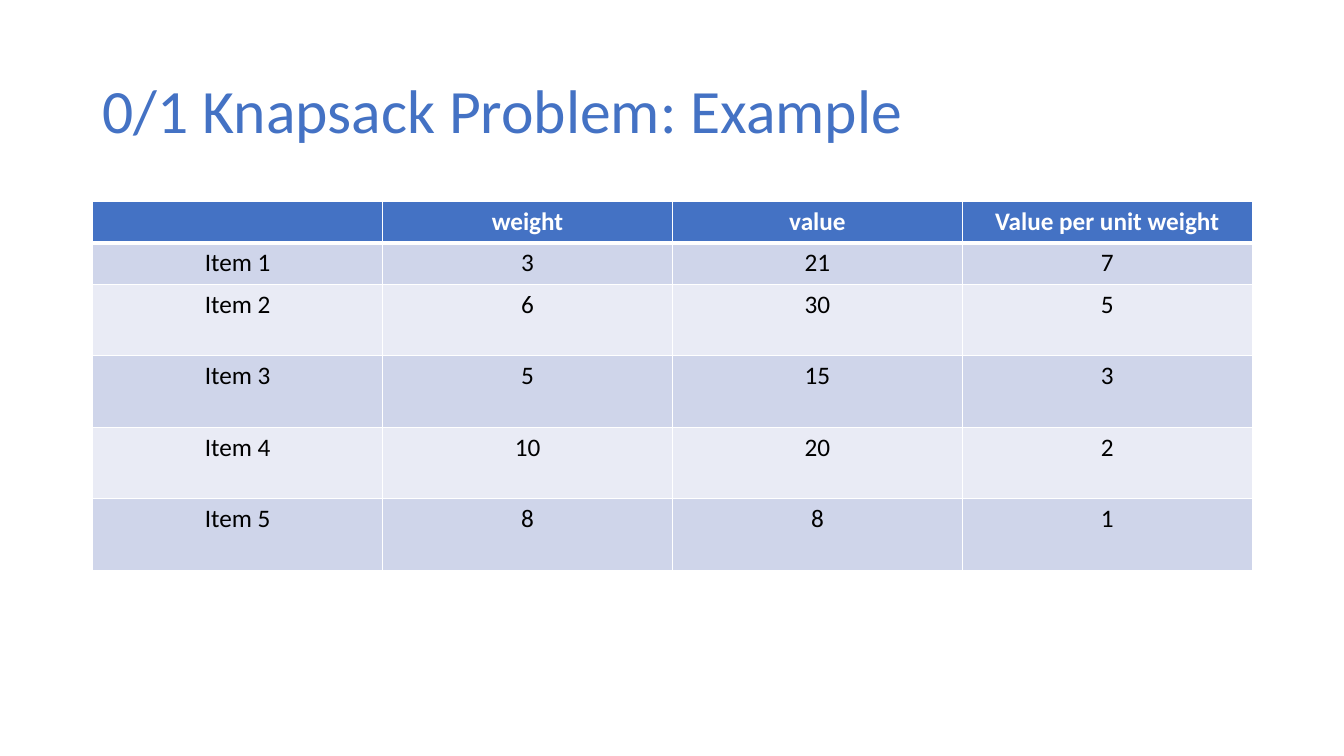
import pptx
import pptx.dml.color
import pptx.enum.text
import pptx.oxml
import pptx.oxml.ns
import pptx.util

Inches = pptx.util.Inches
Pt = pptx.util.Pt
RGBColor = pptx.dml.color.RGBColor

BLUE = RGBColor(0x44, 0x72, 0xC4)
DARK_BAND = RGBColor(0xCF, 0xD5, 0xEA)
LIGHT_BAND = RGBColor(0xE9, 0xEB, 0xF5)
WHITE = RGBColor(0xFF, 0xFF, 0xFF)
BLACK = RGBColor(0, 0, 0)
FONT = "Calibri"

HEADINGS = ("", "weight", "value", "Value per unit weight")
ITEMS = (
    ("Item 1", 3, 21, 7),
    ("Item 2", 6, 30, 5),
    ("Item 3", 5, 15, 3),
    ("Item 4", 10, 20, 2),
    ("Item 5", 8, 8, 1),
)
LINE_ROW = Inches(0.41)
TALL_ROW = Inches(0.71)


def add_run(paragraph, text, size, color, bold=False):
    run = paragraph.add_run()
    run.text = text
    run.font.name = FONT
    run.font.size = Pt(size)
    run.font.bold = bold
    run.font.color.rgb = color


def add_title(slide, left, top, width, height):
    title = slide.shapes.add_textbox(left, top, width, height).text_frame
    title.word_wrap = True
    title.vertical_anchor = pptx.enum.text.MSO_ANCHOR.MIDDLE
    paragraph = title.paragraphs[0]
    paragraph.line_spacing = 0.9
    add_run(paragraph, "0/1 Knapsack Problem: Example", 44, BLUE)


def set_borders(cell, top, bottom):
    properties = cell._tc.get_or_add_tcPr()
    for side, points in (("L", 1), ("R", 1), ("T", top), ("B", bottom)):
        properties.append(pptx.oxml.parse_xml(
            f'<a:ln{side} {pptx.oxml.ns.nsdecls("a")} w="{Pt(points)}">'
            f'<a:solidFill><a:srgbClr val="{WHITE}"/></a:solidFill></a:ln{side}>'
        ))


def add_items_table(slide, left, top, width):
    rows = (HEADINGS, *ITEMS)
    heights = [LINE_ROW] * 2 + [TALL_ROW] * (len(rows) - 2)
    table = slide.shapes.add_table(
        len(rows), len(HEADINGS), left, top, width, sum(heights)
    ).table
    for row_index, values in enumerate(rows):
        table.rows[row_index].height = heights[row_index]
        is_header = row_index == 0
        band = DARK_BAND if row_index % 2 else LIGHT_BAND
        for column_index, value in enumerate(values):
            cell = table.cell(row_index, column_index)
            set_borders(cell, 3 if row_index == 1 else 1, 3 if is_header else 1)
            cell.fill.solid()
            cell.fill.fore_color.rgb = BLUE if is_header else band
            paragraph = cell.text_frame.paragraphs[0]
            paragraph.alignment = pptx.enum.text.PP_ALIGN.CENTER
            if value != "":
                add_run(paragraph, str(value), 18, WHITE if is_header else BLACK, is_header)


def main():
    presentation = pptx.Presentation()
    presentation.slide_width = Inches(13.33)
    presentation.slide_height = Inches(7.5)
    slide = presentation.slides.add_slide(presentation.slide_layouts[6])
    left, width = Inches(0.92), Inches(11.5)
    add_title(slide, left, Inches(0.4), width, Inches(1.45))
    add_items_table(slide, left, Inches(2), width)
    presentation.save("out.pptx")


if __name__ == "__main__":
    main()
